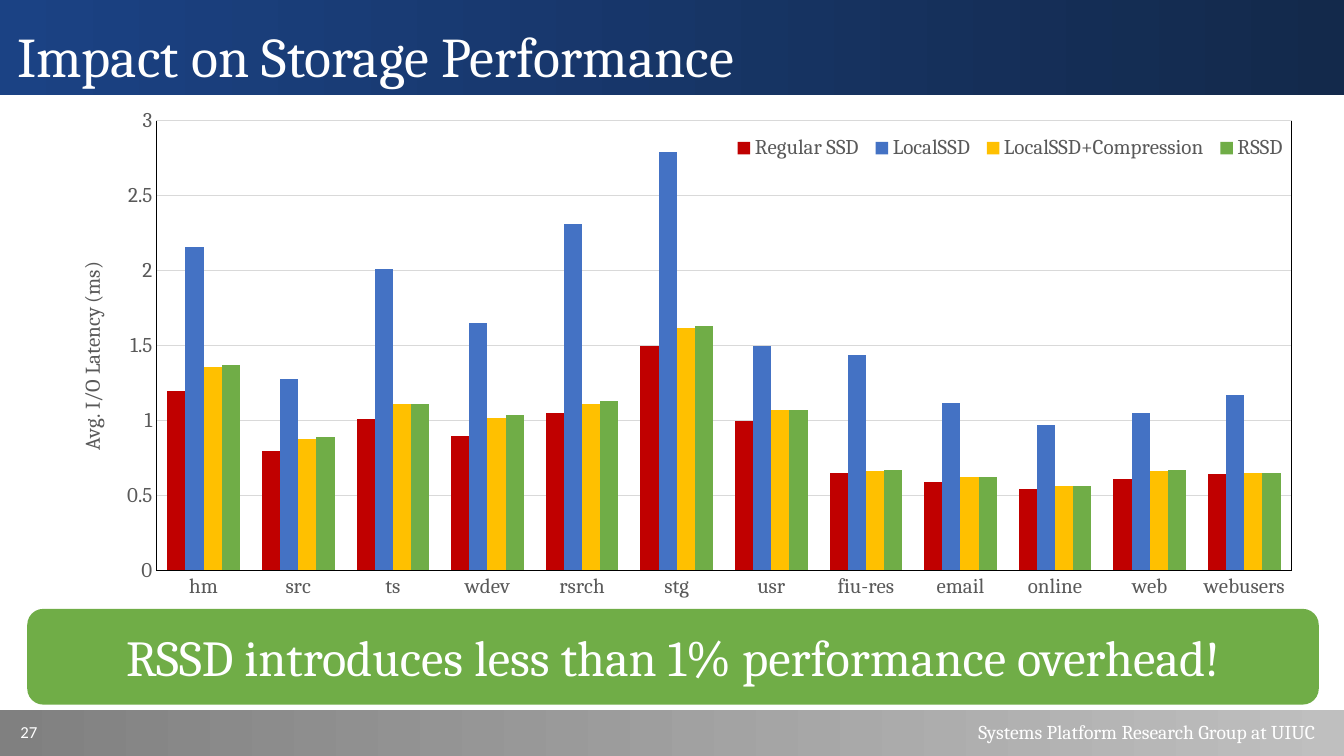
from dataclasses import dataclass

from lxml import etree
from pptx import Presentation
from pptx.chart.data import CategoryChartData
from pptx.dml.color import RGBColor
from pptx.enum.chart import XL_CHART_TYPE, XL_LEGEND_POSITION, XL_TICK_MARK
from pptx.enum.shapes import MSO_CONNECTOR, MSO_SHAPE
from pptx.enum.text import MSO_ANCHOR, MSO_AUTO_SIZE, PP_ALIGN
from pptx.oxml.ns import qn
from pptx.util import Inches, Pt

COLUMN = XL_CHART_TYPE.COLUMN_CLUSTERED
TOP_KEY = XL_LEGEND_POSITION.TOP
NO_TICK = XL_TICK_MARK.NONE
RECT, ROUND = MSO_SHAPE.RECTANGLE, MSO_SHAPE.ROUNDED_RECTANGLE
STRAIGHT = MSO_CONNECTOR.STRAIGHT
LEFT, MID, RIGHT = PP_ALIGN.LEFT, PP_ALIGN.CENTER, PP_ALIGN.RIGHT
TOP, MIDDLE = MSO_ANCHOR.TOP, MSO_ANCHOR.MIDDLE
NO_FIT = MSO_AUTO_SIZE.NONE


@dataclass(frozen=True)
class Theme:
    """Fonts, colours and type sizes of the slide."""
    serif: str = "Cambria"
    sans: str = "Calibri"
    white: str = "FFFFFF"
    black: str = "000000"
    grey: str = "595959"
    grid: str = "D9D9D9"
    green: str = "70AD47"
    head: tuple = ("1B4284", "13294B")
    foot: tuple = ("808080", "BFBFBF")
    bars: tuple = ("C00000", "4472C4", "FFC000", "70AD47")
    title: int = 40
    claim: int = 36
    chart: int = 15
    group: int = 14
    page: int = 12


THEME = Theme()
WIDE = 13.33
CATS = ("hm", "src", "ts", "wdev", "rsrch", "stg", "usr", "fiu-res",
        "email", "online", "web", "webusers")
DATA = {
    "Regular SSD": (1.2, 0.8, 1.01, 0.9, 1.05, 1.5, 1, 0.65, 0.59, 0.54, 0.61, 0.64),
    "LocalSSD": (2.16, 1.28, 2.01, 1.65, 2.31, 2.79, 1.5, 1.44, 1.12, 0.97, 1.05, 1.17),
    "LocalSSD+Compression": (1.36, 0.88, 1.11, 1.02, 1.11, 1.62, 1.07, 0.66, 0.62,
                             0.56, 0.66, 0.65),
    "RSSD": (1.37, 0.89, 1.11, 1.04, 1.13, 1.63, 1.07, 0.67, 0.62, 0.56, 0.67, 0.65),
}
CHART = (0.47, 0.99, 12.59, 5.06)
PLOT = (1.55, 1.2, 11.26, 4.46)
KEY = (7.22, 1.33, 5.6, 0.28)


def rgb(code):
    """Turn a hex code into a colour."""
    return RGBColor.from_string(code)


def box(area):
    """Turn four numbers into lengths."""
    return [Inches(n) for n in area]


def style(font, size, color, name=THEME.serif):
    """Set the look of a font."""
    font.size, font.name, font.bold = Pt(size), name, False
    font.color.rgb = rgb(color)


def ink(line, color):
    """Set a thin solid line."""
    line.color.rgb = rgb(color)
    line.width = Pt(0.75)


def write(shape, text, size, align, anchor=MIDDLE, name=THEME.serif):
    """Put one white line of text into a shape."""
    frame = shape.text_frame
    frame.word_wrap = True
    frame.auto_size = NO_FIT
    frame.vertical_anchor = anchor
    para = frame.paragraphs[0]
    para.alignment = align
    run = para.add_run()
    run.text = text
    style(run.font, size, THEME.white, name)


def panel(slide, kind, area):
    """Add a flat shape with no outline."""
    shape = slide.shapes.add_shape(kind, *box(area))
    shape.shadow.inherit = False
    shape.line.fill.background()
    return shape


def band(slide, area, colors):
    """Add a strip that fades from left to right."""
    fill = panel(slide, RECT, area).fill
    fill.gradient()
    fill.gradient_angle = 0
    for stop, color in zip(fill.gradient_stops, colors):
        stop.color.rgb = rgb(color)


def label(slide, area, text, size, align, name=THEME.serif):
    """Add a text box."""
    write(slide.shapes.add_textbox(*box(area)), text, size, align, name=name)


def place(host, index, area, inner=False):
    """Fix a chart part at slide inches, as shares of the chart."""
    for old in host.findall(qn("c:layout")):
        host.remove(old)
    layout = etree.Element(qn("c:layout"))
    host.insert(index, layout)
    manual = etree.SubElement(layout, qn("c:manualLayout"))
    left, top, wide, high = CHART
    shares = [(area[0] - left) / wide, (area[1] - top) / high]
    shares += [n / full for n, full in zip(area[2:], (wide, high))]
    parts = [("layoutTarget", "inner")] if inner else []
    parts += [("xMode", "edge"), ("yMode", "edge")]
    parts += [(tag, f"{n:.4f}") for tag, n in zip("xywh", shares)]
    for tag, value in parts:
        etree.SubElement(manual, qn("c:" + tag)).set("val", value)


def axes(chart):
    """Format both axes, the grid and the axis title."""
    for axis in (chart.category_axis, chart.value_axis):
        axis.major_tick_mark = axis.minor_tick_mark = NO_TICK
        style(axis.tick_labels.font, THEME.chart, THEME.grey)
        ink(axis.format.line, THEME.black)
    axis.minimum_scale, axis.maximum_scale, axis.major_unit = 0, 3, 0.5
    axis.tick_labels.number_format = "General"
    axis.tick_labels.number_format_is_linked = False
    ink(axis.major_gridlines.format.line, THEME.grid)
    title = axis.axis_title
    run = title.text_frame.paragraphs[0].add_run()
    run.text = "Avg. I/O Latency (ms)"
    style(run.font, THEME.chart, THEME.grey)
    place(title._element, 1, (0.74, 2.56))


def graph(slide):
    """Add the latency chart with its right edge."""
    data = CategoryChartData()
    data.categories = CATS
    for name, values in DATA.items():
        data.add_series(name, values)
    chart = slide.shapes.add_chart(COLUMN, *box(CHART), data).chart
    chart.has_title = False
    style(chart.font, THEME.chart, THEME.black)
    plot = chart.plots[0]
    plot.gap_width, plot.overlap, plot.vary_by_categories = 121, 0, False
    for row, color in zip(plot.series, THEME.bars):
        row.format.fill.solid()
        row.format.fill.fore_color.rgb = rgb(color)
    axes(chart)
    chart.has_legend = True
    key = chart.legend
    key.position, key.include_in_layout = TOP_KEY, True
    style(key.font, THEME.chart, THEME.grey)
    place(key._element, 1, KEY)
    place(plot._element.getparent(), 0, PLOT, inner=True)
    left, top, wide, high = PLOT
    ends = (left + wide, top, left + wide, top + high)
    edge = slide.shapes.add_connector(STRAIGHT, *box(ends))
    ink(edge.line, THEME.black)
    etree.SubElement(edge._element.spPr, qn("a:effectLst"))


def main():
    """Build and save the slide."""
    deck = Presentation()
    deck.slide_width, deck.slide_height = Inches(WIDE), Inches(7.5)
    slide = deck.slides.add_slide(deck.slide_layouts[5])
    claim = panel(slide, ROUND, (0.27, 6.04, 12.81, 0.95))
    claim.fill.solid()
    claim.fill.fore_color.rgb = rgb(THEME.green)
    write(claim, "RSSD introduces less than 1% performance overhead!", THEME.claim, MID)
    band(slide, (0, 7.04, WIDE, 0.46), THEME.foot)
    band(slide, (0, -0.01, WIDE, 0.95), THEME.head)
    label(slide, (0.07, 7.06, 0.4, 0.4), "27", THEME.page, RIGHT, THEME.sans)
    title = slide.shapes.title
    title.left, title.top, title.width, title.height = box((0.07, 0.16, 13.26, 0.77))
    write(title, "Impact on Storage Performance", THEME.title, LEFT, TOP)
    slide.shapes._spTree.append(title._element)
    label(slide, (8.69, 7.09, 5.37, 0.34), "Systems Platform Research Group at UIUC",
          THEME.group, MID)
    graph(slide)
    deck.save("out.pptx")


if __name__ == "__main__":
    main()
